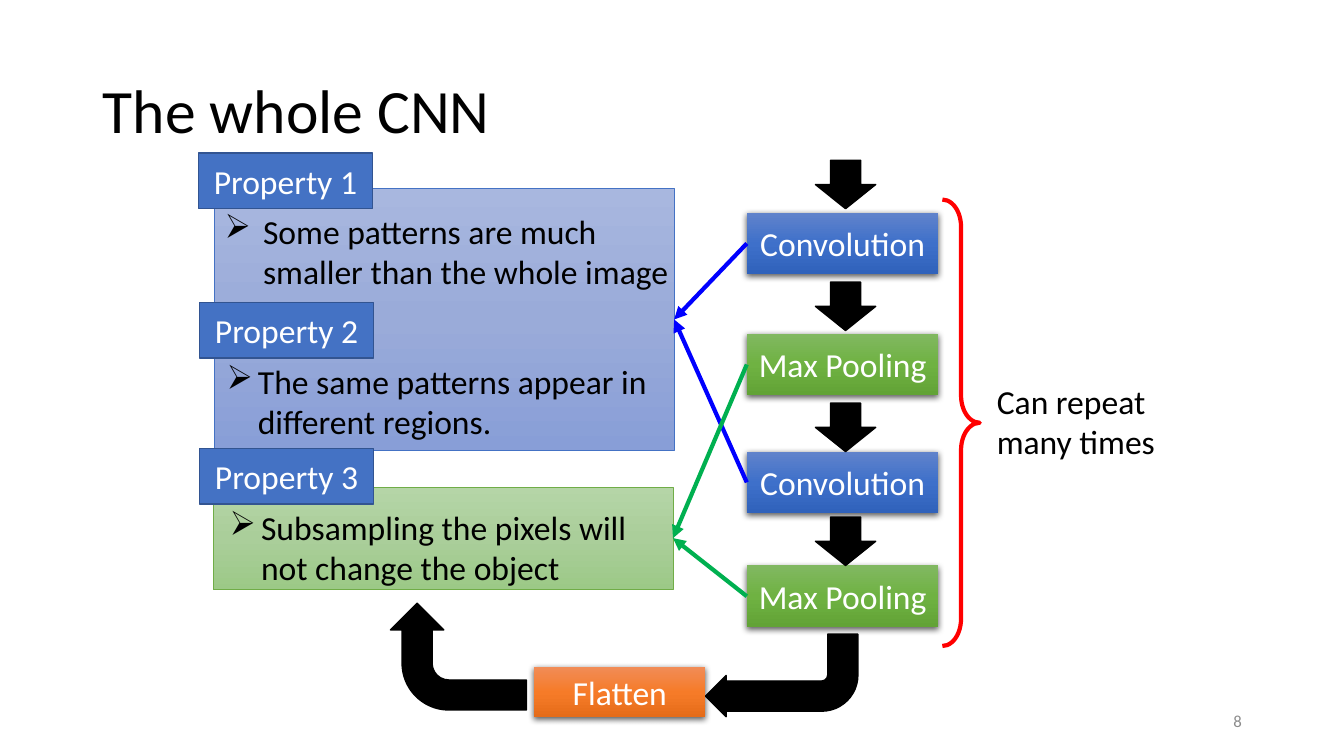
from copy import deepcopy

from lxml import etree
from pptx import Presentation
from pptx.dml.color import RGBColor
from pptx.enum import shapes as sh, text as tx
from pptx.oxml import parse_xml
from pptx.oxml.ns import nsdecls, qn
from pptx.util import Cm, Pt

BLACK = RGBColor(0x00, 0x00, 0x00)
WHITE = RGBColor(0xFF, 0xFF, 0xFF)
GREY = RGBColor(0x8C, 0x8C, 0x8C)
RED = RGBColor(0xFF, 0x00, 0x00)
BLUE = RGBColor(0x00, 0x00, 0xFF)
GREEN = RGBColor(0x00, 0xB0, 0x50)
TAG = RGBColor(0x44, 0x72, 0xC4)
TAG_EDGE = RGBColor(0x32, 0x54, 0x91)
LEAF = RGBColor(0x70, 0xAD, 0x47)
PALE_LEAF = [RGBColor(0xB5, 0xD5, 0xA7), RGBColor(0xAA, 0xCE, 0x9A), RGBColor(0x9C, 0xC9, 0x87)]
PALE_SKY = [RGBColor(0xA8, 0xB7, 0xDF), RGBColor(0x9A, 0xAB, 0xD9), RGBColor(0x88, 0x9E, 0xD7)]
CONV = [RGBColor(0x61, 0x83, 0xCB), RGBColor(0x3E, 0x70, 0xCA), RGBColor(0x30, 0x62, 0xBB)]
POOL = [RGBColor(0x81, 0xB8, 0x61), RGBColor(0x6F, 0xB2, 0x42), RGBColor(0x62, 0xA3, 0x36)]
FLAT = [RGBColor(0xF1, 0x8C, 0x57), RGBColor(0xF6, 0x7B, 0x28), RGBColor(0xE5, 0x6C, 0x19)]

SHADE = (f'<a:outerShdw {nsdecls("a")} blurRad="57150" dist="19050" dir="5400000" '
         'algn="ctr" rotWithShape="0"><a:srgbClr val="000000">'
         '<a:alpha val="63000"/></a:srgbClr></a:outerShdw>')

KIND = sh.MSO_SHAPE
MID = tx.MSO_ANCHOR.MIDDLE
TOP = tx.MSO_ANCHOR.TOP
LEFT, CENTER, RIGHT = tx.PP_ALIGN.LEFT, tx.PP_ALIGN.CENTER, tx.PP_ALIGN.RIGHT

deck = Presentation()
deck.slide_width, deck.slide_height = Cm(33.87), Cm(19.05)
slide = deck.slides.add_slide(deck.slide_layouts[5])


def draw(kind, at, fill=None, edge=None, width=1):
    """Add a shape; a list of three colours gives a downward gradient."""
    item = slide.shapes.add_shape(kind, *map(Cm, at))
    item.shadow.inherit = False
    if isinstance(fill, list):
        item.fill.gradient()
        item.fill.gradient_angle = 270
        ends = item._element.spPr.find(".//" + qn("a:gsLst"))
        ends.insert(1, deepcopy(ends[0]))
        for stop, color, spot in zip(item.fill.gradient_stops, fill, (0, 0.5, 1)):
            stop.color.rgb, stop.position = color, spot
    elif fill is not None:
        item.fill.solid()
        item.fill.fore_color.rgb = fill
    else:
        item.fill.background()
    if edge is not None:
        item.line.color.rgb, item.line.width = edge, Pt(width)
    else:
        item.line.fill.background()
    return item


def write(item, words, color=BLACK, size=24, align=LEFT, anchor=TOP):
    frame = item.text_frame
    para = frame.paragraphs[0]
    run = para.add_run()
    run.text = words
    run.font.color.rgb = color
    form = {
        frame: {"word_wrap": True, "vertical_anchor": anchor},
        para: {"alignment": align},
        run.font: {"name": "Calibri", "size": Pt(size)},
    }
    for part, values in form.items():
        for name, value in values.items():
            setattr(part, name, value)
    return para


# Title and page number
title = slide.shapes.title
title.left, title.top, title.width, title.height = map(Cm, (2.34, 1.02, 29.21, 3.68))
write(title, "The whole CNN", size=44, anchor=MID).line_spacing = 0.9
page = slide.shapes.add_textbox(*map(Cm, (23.93, 17.65, 7.62, 1.02)))
write(page, "8", GREY, 12, RIGHT, MID)

# Panels behind the properties
draw(KIND.RECTANGLE, (5.38, 12.27, 11.58, 2.59), PALE_LEAF, LEAF, 0.5)
draw(KIND.RECTANGLE, (5.41, 4.75, 11.58, 6.6), PALE_SKY, TAG, 0.5)

# Layers, each with an arrow into it
BLOCK_X, BLOCK_W, BLOCK_H = 18.82, 4.83, 1.55
tops = [5.36, 8.41, 11.38, 14.25]
feeds = [4.04, 7.11, 10.16, 13.03]
kinds = [("Convolution", CONV), ("Max Pooling", POOL)] * 2
blocks = [(name, fill, (BLOCK_X, top, BLOCK_W, BLOCK_H), MID)
          for (name, fill), top in zip(kinds, tops)]
blocks.append(("Flatten", FLAT, (13.46, 16.81, 4.32, 1.27), TOP))
for name, fill, at, anchor in blocks:
    block = draw(KIND.RECTANGLE, at, fill)
    block._element.spPr.find(qn("a:effectLst")).append(parse_xml(SHADE))
    write(block, name, WHITE, align=CENTER, anchor=anchor)
for top in feeds:
    draw(KIND.DOWN_ARROW, (20.55, top, 1.52, 1.22), BLACK, BLACK)

# Bent arrows around Flatten
for at, turn, thick in [((17.78, 15.98, 3.84, 2.08), 180, 0.366),
                        ((10.21, 14.83, 2.69, 3.43), 270, 0.281)]:
    bend = draw(KIND.BENT_ARROW, at, BLACK, BLACK)
    bend.rotation = turn
    for i, value in enumerate((thick, 0.25, 0.25, 0.438)):
        bend.adjustments[i] = value

# Repeat note
brace = draw(KIND.RIGHT_BRACE, (23.75, 5.03, 0.94, 11.25), edge=RED, width=3)
brace.adjustments[0], brace.adjustments[1] = 0.729, 0.5
note = slide.shapes.add_textbox(*map(Cm, (24.87, 9.47, 4.7, 2.31)))
write(note, "Can repeat many times")

# Properties
facts = [
    ("Some patterns are much smaller than the whole image", (5.41, 5.18, 11.96, 2.31), 0.97),
    ("The same patterns appear in different regions.", (5.46, 8.97, 11.58, 2.31), 0.79),
    ("Subsampling the pixels will not change the object", (5.54, 12.65, 11.58, 2.31), 0.79),
]
for words, at, hang in facts:
    fact = slide.shapes.add_textbox(*map(Cm, at))
    props = write(fact, words)._p.get_or_add_pPr()
    props.set("marL", str(Cm(hang)))
    props.set("indent", str(-Cm(hang)))
    etree.SubElement(props, qn("a:buChar")).set("char", "➢")

# Links from layers to panels
ends = [(16.99, 8.05, BLUE), (16.96, 13.56, GREEN)]
for i in (0, 2, 1, 3):
    x, y, color = ends[i % 2]
    link = slide.shapes.add_connector(
        sh.MSO_CONNECTOR.STRAIGHT, Cm(BLOCK_X), Cm(tops[i] + BLOCK_H / 2), Cm(x), Cm(y))
    link.line.color.rgb, link.line.width = color, Pt(3)
    look = link._element.spPr
    etree.SubElement(look.find(qn("a:ln")), qn("a:tailEnd")).set("type", "triangle")
    etree.SubElement(look, qn("a:effectLst"))

# Property tags
for i, (x, y) in enumerate([(5, 3.86), (5.03, 7.62), (5.03, 11.3)], 1):
    tag = draw(KIND.RECTANGLE, (x, y, 4.39, 1.4), TAG, TAG_EDGE)
    write(tag, f"Property {i}", WHITE, align=CENTER, anchor=MID)

deck.save("out.pptx")
